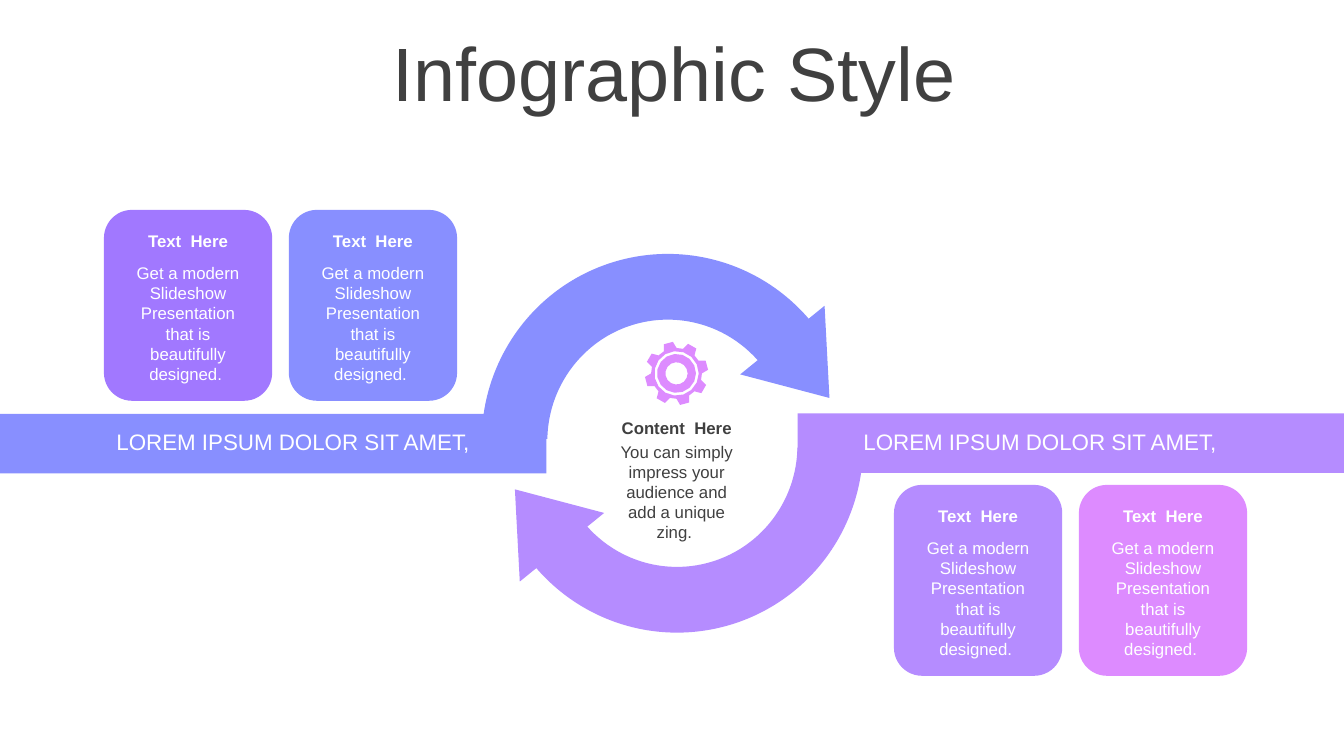
from math import cos, radians, sin

from pptx import Presentation
from pptx.dml.color import RGBColor
from pptx.enum.shapes import MSO_SHAPE
from pptx.enum.text import MSO_ANCHOR, PP_ALIGN
from pptx.util import Cm, Pt

COLORS = {
    "ink": "404040",
    "white": "FFFFFF",
    "blue": "888FFF",
    "violet": "A178FF",
    "lilac": "B58CFF",
    "pink": "DD8BFF",
}


class Infographic:
    font = "Arial"

    def __init__(self, slide):
        self.shapes = slide.shapes

    def paint(self, shape, color):
        shape.shadow.inherit = False
        shape.fill.solid()
        shape.fill.fore_color.rgb = RGBColor.from_string(COLORS[color])
        shape.line.fill.background()

    def shape(self, kind, box, color, rotation=0, adjustments=()):
        shape = self.shapes.add_shape(kind, *map(Cm, box))
        for index, value in enumerate(adjustments):
            shape.adjustments[index] = value
        shape.rotation = rotation
        self.paint(shape, color)

    def text(self, words, box, color="ink", size=12, bold=False,
             align=PP_ALIGN.CENTER, anchor=MSO_ANCHOR.TOP, spacing=1.0):
        frame = self.shapes.add_textbox(*map(Cm, box)).text_frame
        frame.word_wrap = True
        frame.vertical_anchor = anchor
        frame.text = words
        paragraph = frame.paragraphs[0]
        paragraph.alignment = align
        paragraph.line_spacing = spacing
        font = paragraph.runs[0].font
        font.name = self.font
        font.size = Pt(size)
        font.bold = bold
        font.color.rgb = RGBColor.from_string(COLORS[color])

    def gear(self, center_x, center_y, color, teeth=8):
        def point(radius, degrees):
            angle = radians(degrees)
            return (Cm(center_x + radius * cos(angle)),
                    Cm(center_y + radius * sin(angle)))

        tooth = [(0.64, -15), (0.8, -8.5), (0.8, 8.5), (0.64, 15)]
        rim = [point(radius, step * 360 / teeth - 15 + offset)
               for step in range(teeth) for radius, offset in tooth]
        rings = [[point(radius, degrees) for degrees in range(0, 360, 24)]
                 for radius in (0.56, 0.49, 0.28)]
        builder = self.shapes.build_freeform(*rim[0])
        builder.add_line_segments(rim[1:], close=True)
        for ring in rings:
            builder.move_to(*ring[0])
            builder.add_line_segments(ring[1:], close=True)
        self.paint(builder.convert_to_shape(), color)

    def ribbon(self, color, band, arc, head, arc_turn, head_turn):
        self.shape(MSO_SHAPE.RECTANGLE, (*band, 13.77, 1.5), color)
        self.shape(MSO_SHAPE.BLOCK_ARC, (*arc, 9.38, 9.42), color, arc_turn,
                   (108.55, 192.54, 3 / 17))
        self.shape(MSO_SHAPE.ISOSCELES_TRIANGLE, (*head, 2.74, 1.88), color, head_turn)

    def card(self, left, top, color):
        self.shape(MSO_SHAPE.ROUNDED_RECTANGLE, (left, top, 4.24, 4.81), color)
        self.text("Text  Here", (left + 0.38, top + 0.4, 3.48, 0.76), "white", bold=True)
        self.text("Get a modern Slideshow Presentation that is beautifully designed. ",
                  (left + 0.38, top + 1.21, 3.48, 3.33), "white")


def main():
    deck = Presentation()
    deck.slide_width, deck.slide_height = Cm(33.87), Cm(19.05)
    page = Infographic(deck.slides.add_slide(deck.slide_layouts[6]))

    page.text("Infographic Style", (0.91, 0.94, 32.16, 2.01), size=54,
              anchor=MSO_ANCHOR.MIDDLE, spacing=0.9)

    page.ribbon("blue", (0, 10.43), (12.14, 6.4), (18.94, 8.36), 0, 140.9)
    page.ribbon("lilac", (20.1, 10.42), (12.37, 6.52), (12.2, 12.12), 180, 320.9)

    page.gear(17.05, 9.41, "pink")
    page.text("You can simply impress your audience and add a unique zing. ",
              (15.15, 11, 3.81, 2.82))
    page.text("Content  Here", (15.15, 10.41, 3.81, 0.76), bold=True)

    for left, align in ((2.13, PP_ALIGN.RIGHT), (21.51, PP_ALIGN.LEFT)):
        page.text("LOREM IPSUM DOLOR SIT AMET,", (left, 10.65, 9.96, 0.94), "white",
                  size=16, align=align, anchor=MSO_ANCHOR.MIDDLE)

    card_groups = (
        (2.62, 5.29, ("violet", "blue")),
        (22.53, 12.22, ("lilac", "pink")),
    )
    for left, top, colors in card_groups:
        for column, color in enumerate(colors):
            page.card(left + column * 4.66, top, color)

    deck.save("out.pptx")


if __name__ == "__main__":
    main()
